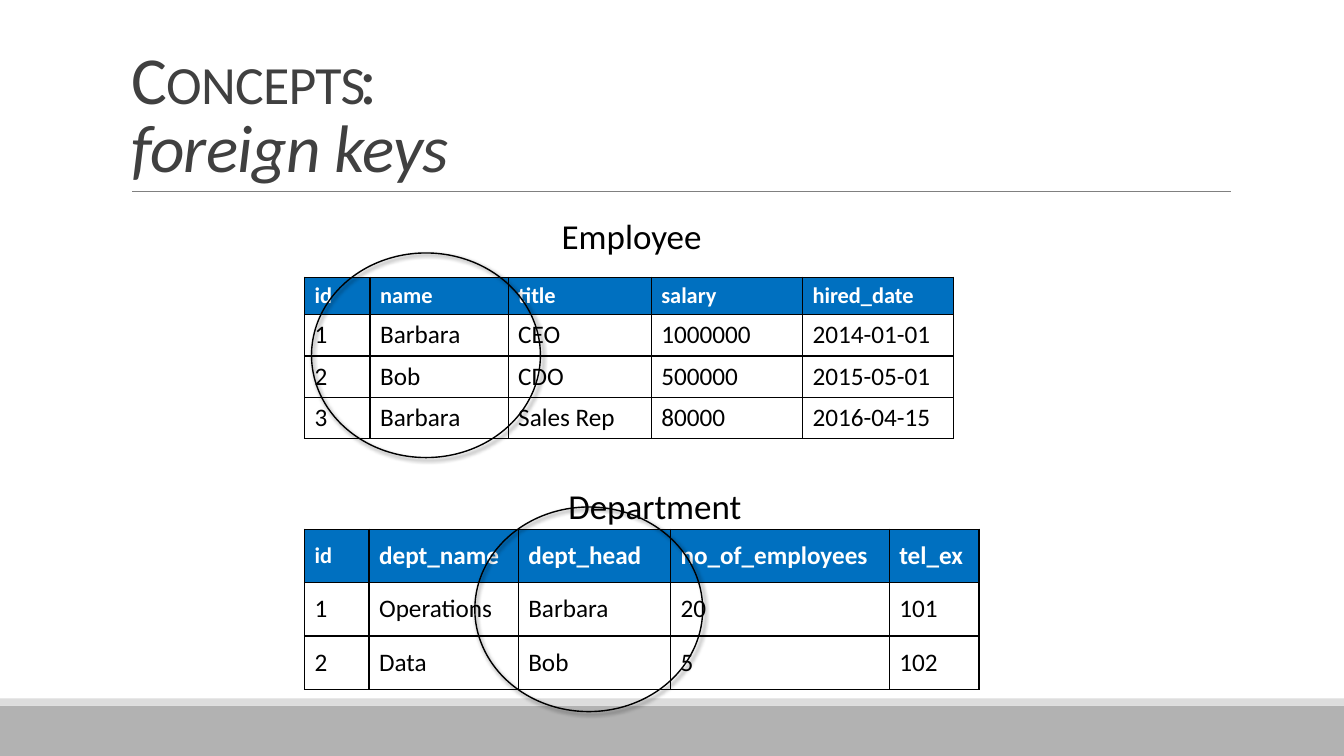
import pptx
import pptx.util
import pptx.dml.color
import pptx.enum.shapes
import pptx.enum.text
import pptx.oxml
import pptx.oxml.ns
from dataclasses import dataclass

PX = 9144  # EMU; 100 px to the inch
SHAPES = pptx.enum.shapes.MSO_SHAPE
ANCHOR = pptx.enum.text.MSO_ANCHOR
ALIGN = pptx.enum.text.PP_ALIGN
AUTO = pptx.enum.text.MSO_AUTO_SIZE


@dataclass(frozen=True)
class Theme:
    font: str = "Calibri"
    black: str = "000000"
    white: str = "FFFFFF"
    title: str = "404040"
    header: str = "0070C0"
    rule: str = "808080"
    footer: str = "B2B2B2"
    footer_edge: str = "DDDDDD"
    title_size: int = 48
    label_size: int = 25
    cell_size: int = 18
    small_size: int = 16


THEME = Theme()

EMPLOYEES = [
    ["id", "name", "title", "salary", "hired_date"],
    ["1", "Barbara", "CEO", "1000000", "2014-01-01"],
    ["2", "Bob", "CDO", "500000", "2015-05-01"],
    ["3", "Barbara", "Sales Rep", "80000", "2016-04-15"],
]
DEPARTMENTS = [
    ["id", "dept_name", "dept_head", "no_of_employees", "tel_ex"],
    ["1", "Operations", "Barbara", "20", "101"],
    ["2", "Data", "Bob", "5", "102"],
]


def px(*lengths):
    return [pptx.util.Emu(n * PX) for n in lengths]


def rgb(color):
    return pptx.dml.color.RGBColor.from_string(color)


def xml(text):
    return pptx.oxml.parse_xml(text.replace(">", f" {pptx.oxml.ns.nsdecls('a')}>", 1))


def set_font(font, size, color, bold=False):
    font.name = THEME.font
    font.size = pptx.util.Pt(size)
    font.color.rgb = rgb(color)
    font.bold = bold


def add_band(slide, box, color):
    sp = slide.shapes.add_shape(SHAPES.RECTANGLE, *px(*box))
    sp.shadow.inherit = False
    sp.fill.solid()
    sp.fill.fore_color.rgb = rgb(color)
    sp.line.fill.background()


def add_rule(slide, x1, x2, y):
    line = slide.shapes.add_connector(
        pptx.enum.shapes.MSO_CONNECTOR.STRAIGHT, *px(x1, y, x2, y))
    line.line.color.rgb = rgb(THEME.rule)
    line.line.width = pptx.util.Pt(0.5)
    line._element.spPr.append(xml("<a:effectLst></a:effectLst>"))


def set_title(slide, box):
    sp = slide.shapes.title
    sp.left, sp.top, sp.width, sp.height = px(*box)
    tf = sp.text_frame
    tf.word_wrap = True
    tf.auto_size = AUTO.NONE
    tf.vertical_anchor = ANCHOR.BOTTOM
    p = tf.paragraphs[0]
    p.alignment = ALIGN.LEFT
    p.line_spacing = 0.85
    set_font(p.font, THEME.title_size, THEME.title)
    caps, colon = p.add_run(), p.add_run()
    caps.text, colon.text = "Concepts", ":"
    p.add_line_break()
    subject = p.add_run()
    subject.text = "foreign keys"
    subject.font.italic = True
    for r in (caps, colon, subject):
        r.font._element.set("spc", "-50")
    caps.font._element.set("cap", "small")


def add_label(slide, box, text):
    tf = slide.shapes.add_textbox(*px(*box)).text_frame
    tf.word_wrap = True
    tf.auto_size = AUTO.SHAPE_TO_FIT_TEXT
    p = tf.paragraphs[0]
    p.text = text
    p.alignment = ALIGN.CENTER
    set_font(p.font, THEME.label_size, THEME.black)


def format_cell(cell, text, is_header, size, anchor):
    cell.text = text
    cell.vertical_anchor = anchor
    set_font(cell.text_frame.paragraphs[0].font, size,
             THEME.white if is_header else THEME.black, is_header)
    # Borders come before the fill in the cell properties
    tcPr = cell._tc.get_or_add_tcPr()
    for side in "LRTB":
        tcPr.append(xml(
            f'<a:ln{side} w="12700"><a:solidFill><a:srgbClr val="{THEME.black}"/>'
            f'</a:solidFill></a:ln{side}>'))
    if is_header:
        cell.fill.solid()
        cell.fill.fore_color.rgb = rgb(THEME.header)
    else:
        cell.fill.background()


def add_data_table(slide, left, top, widths, heights, rows, header_sizes, anchor):
    frame = slide.shapes.add_table(
        len(rows), len(widths), *px(left, top, sum(widths), sum(heights)))
    table = frame.table
    table.horz_banding = False
    for column, width in zip(table.columns, px(*widths)):
        column.width = width
    for row, height in zip(table.rows, px(*heights)):
        row.height = height
    for i, row in enumerate(rows):
        for j, text in enumerate(row):
            size = header_sizes[j] if i == 0 else THEME.cell_size
            format_cell(table.cell(i, j), text, i == 0, size, anchor)


def add_ring(slide, box):
    sp = slide.shapes.add_shape(SHAPES.OVAL, *px(*box))
    sp.shadow.inherit = False
    sp.fill.background()
    sp.line.color.rgb = rgb(THEME.black)
    sp.line.width = pptx.util.Pt(1)
    effects = sp._element.spPr.find(pptx.oxml.ns.qn("a:effectLst"))
    effects.append(xml(
        '<a:outerShdw blurRad="38100" dist="25400" dir="2700000" algn="tl" rotWithShape="0">'
        f'<a:srgbClr val="{THEME.black}"><a:alpha val="60000"/></a:srgbClr></a:outerShdw>'))


def main():
    prs = pptx.Presentation()
    prs.slide_width, prs.slide_height = px(1333, 750)
    slide = prs.slides.add_slide(prs.slide_layouts[5])

    # Footer bands, title and rule
    add_band(slide, (0, 700, 1333, 50), THEME.footer)
    add_band(slide, (0, 693, 1333, 7), THEME.footer_edge)
    add_rule(slide, 131, 1221, 190)
    set_title(slide, (120, 31, 1100, 159))

    # Tables
    small, normal = THEME.small_size, THEME.cell_size
    add_data_table(slide, 302, 275, [65, 137, 142, 150, 150], [36, 41, 41, 41],
                   EMPLOYEES, [small] * 5, ANCHOR.TOP)
    add_data_table(slide, 302, 525, [64, 148, 151, 217, 89], [53] * 3,
                   DEPARTMENTS, [small] + [normal] * 4, ANCHOR.MIDDLE)

    # Table names
    add_label(slide, (403, 208, 447, 52), "Employee")
    add_label(slide, (426, 476, 447, 52), "Department")

    # Rings around the linked columns
    add_ring(slide, (309, 251, 227, 203))
    add_ring(slide, (471, 503, 226, 203))

    prs.save("out.pptx")


if __name__ == "__main__":
    main()
